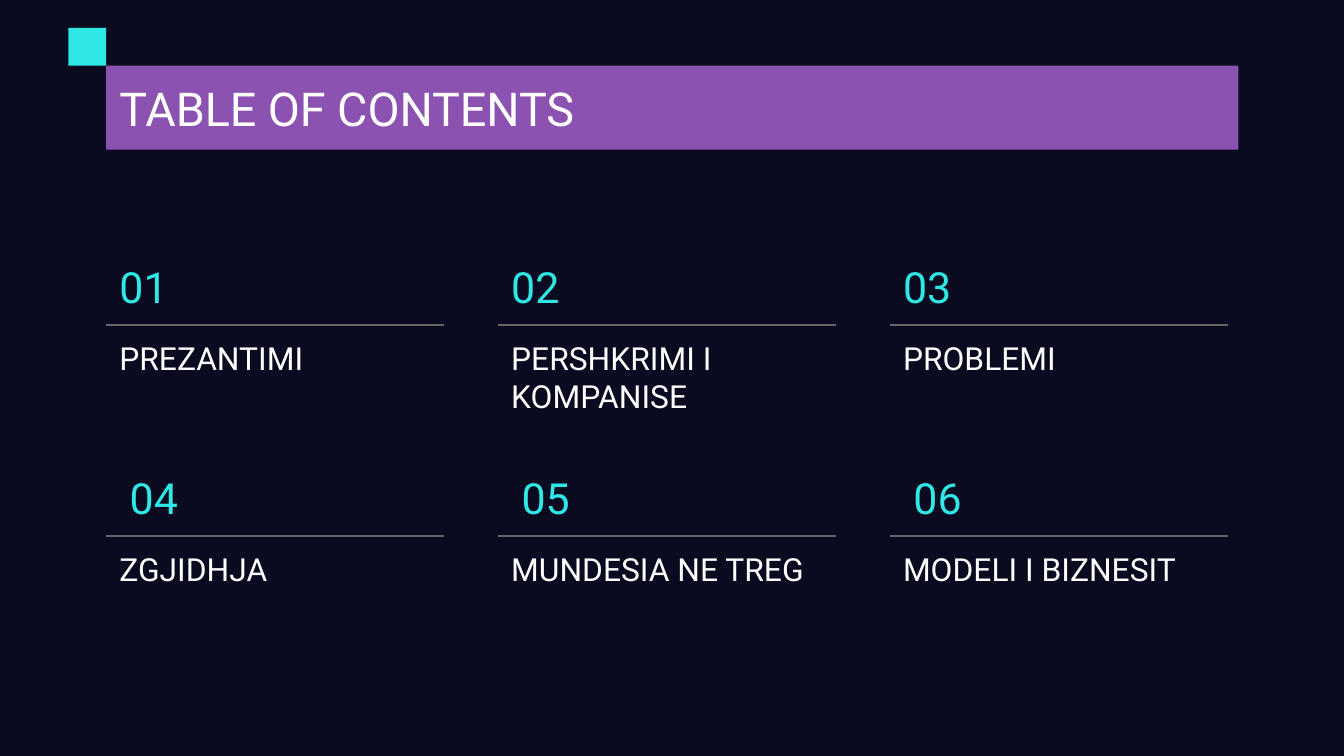
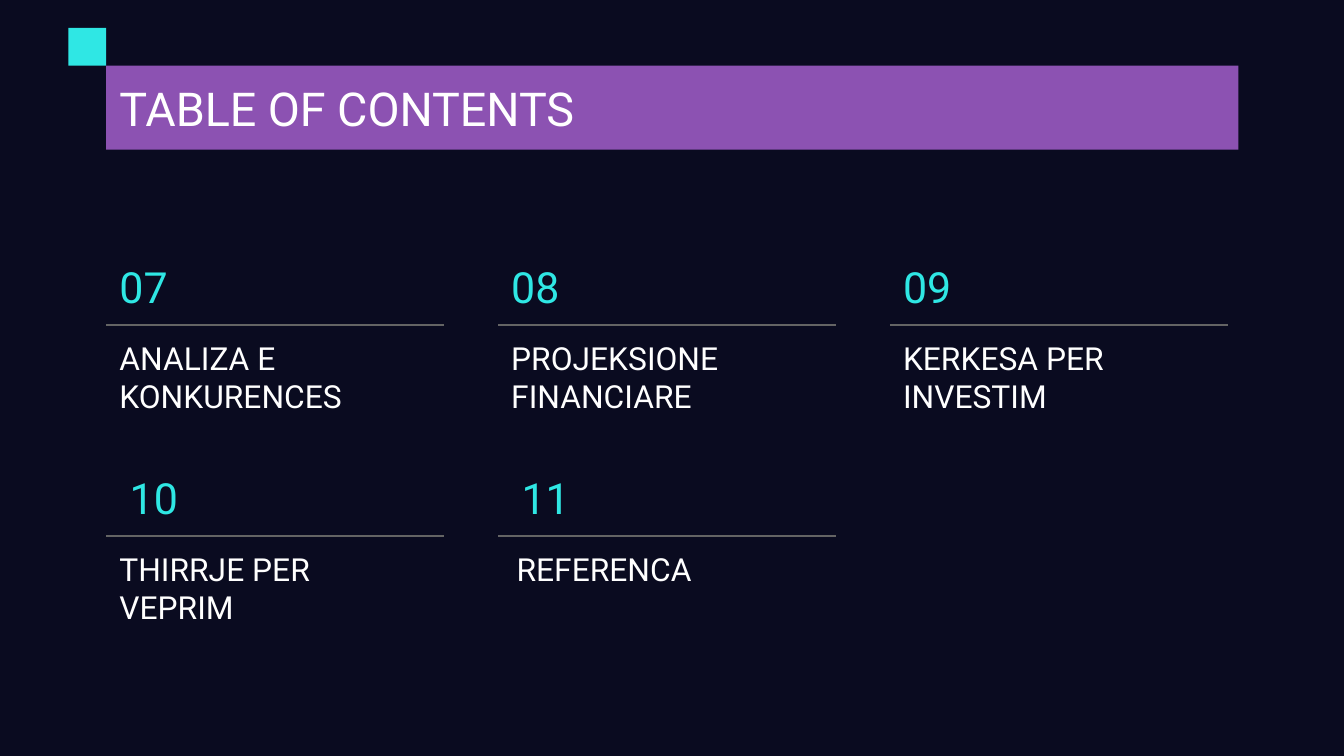
from dataclasses import dataclass

from lxml import etree
from pptx import Presentation
from pptx.dml import color
from pptx.enum import shapes, text
from pptx.oxml import ns
from pptx.util import Pt


@dataclass(frozen=True)
class Theme:
    font: str = "Roboto"
    background: str = "0A0B20"
    accent: str = "2FE7E4"
    band: str = "8C52B2"
    rule: str = "646464"
    white: str = "FFFFFF"
    title_size: float = 25
    number_size: float = 23
    label_size: float = 17
    rule_width: float = 0.75
    inset: float = 7.2


LEFT, COLUMN_PITCH, COLUMN_WIDTH = 56.9, 209.9, 181.2
TOP, ROW_PITCH = 174.2, 113
NUMBER_WIDTH, NUMBER_HEIGHT, LABEL_HEIGHT = 51.1, 35.3, 57.6
TITLE_TOP, TITLE_WIDTH, TITLE_HEIGHT = 35.2, 606.6, 45
SQUARE = 20.3


def rgb(value):
    return color.RGBColor.from_string(value)


def write(shape, content, *, theme, size, ink, anchor=text.MSO_ANCHOR.TOP,
          align=text.PP_ALIGN.LEFT):
    frame = shape.text_frame
    frame.word_wrap = True
    frame.vertical_anchor = anchor
    frame.margin_left = frame.margin_right = Pt(theme.inset)
    frame.margin_top = frame.margin_bottom = Pt(theme.inset)
    para = frame.paragraphs[0]
    para.alignment = align
    span = para.add_run()
    span.text = content
    span.font.name = theme.font
    span.font.size = Pt(size)
    span.font.color.rgb = rgb(ink)


class Page:
    def __init__(self, deck, theme):
        self.theme = theme
        self.slide = deck.slides.add_slide(deck.slide_layouts[6])
        fill = self.slide.background.fill
        fill.solid()
        fill.fore_color.rgb = rgb(theme.background)

    def rectangle(self, left, top, width, height, fill):
        shape = self.slide.shapes.add_shape(
            shapes.MSO_SHAPE.RECTANGLE, Pt(left), Pt(top), Pt(width), Pt(height))
        shape.shadow.inherit = False
        shape.fill.solid()
        shape.fill.fore_color.rgb = rgb(fill)
        shape.line.fill.background()
        return shape

    def label(self, content, left, top, width, height, **style):
        box = self.slide.shapes.add_textbox(Pt(left), Pt(top), Pt(width), Pt(height))
        write(box, content, theme=self.theme, **style)

    def rule(self, left, top, width):
        line = self.slide.shapes.add_connector(
            shapes.MSO_CONNECTOR.STRAIGHT, Pt(left), Pt(top), Pt(left + width), Pt(top))
        line.line.color.rgb = rgb(self.theme.rule)
        line.line.width = Pt(self.theme.rule_width)
        etree.SubElement(line._element.spPr, ns.qn("a:effectLst"))

    def title(self, content):
        self.rectangle(LEFT - SQUARE, TITLE_TOP - SQUARE, SQUARE, SQUARE, self.theme.accent)
        band = self.rectangle(LEFT, TITLE_TOP, TITLE_WIDTH, TITLE_HEIGHT, self.theme.band)
        write(band, content, theme=self.theme, size=self.theme.title_size,
              ink=self.theme.white, anchor=text.MSO_ANCHOR.MIDDLE)

    def entry(self, position, number, name, shift=0):
        row, column = divmod(position, 3)
        left, top = LEFT + column * COLUMN_PITCH, TOP + row * ROW_PITCH
        align = text.PP_ALIGN.CENTER if row else text.PP_ALIGN.LEFT
        self.label(f"{number:02}", left, top - NUMBER_HEIGHT, NUMBER_WIDTH, NUMBER_HEIGHT,
                   size=self.theme.number_size, ink=self.theme.accent,
                   anchor=text.MSO_ANCHOR.BOTTOM, align=align)
        self.rule(left, top, COLUMN_WIDTH)
        self.label(name, left + shift, top, COLUMN_WIDTH, LABEL_HEIGHT,
                   size=self.theme.label_size, ink=self.theme.white)


CONTENTS = [
    ["PREZANTIMI", "PERSHKRIMI I KOMPANISE", "PROBLEMI",
     "ZGJIDHJA", "MUNDESIA NE TREG", "MODELI I BIZNESIT"],
    ["ANALIZA E KONKURENCES", "PROJEKSIONE FINANCIARE", "KERKESA PER INVESTIM",
     "THIRRJE PER VEPRIM", "REFERENCA"],
]
LABEL_SHIFTS = {"REFERENCA": 2.9}


def main():
    deck = Presentation()
    deck.slide_width, deck.slide_height = Pt(720), Pt(405)
    theme = Theme()
    number = 1
    for names in CONTENTS:
        page = Page(deck, theme)
        page.title("TABLE OF CONTENTS")
        for position, name in enumerate(names):
            page.entry(position, number, name, LABEL_SHIFTS.get(name, 0))
            number += 1
    deck.save("out.pptx")


if __name__ == "__main__":
    main()
